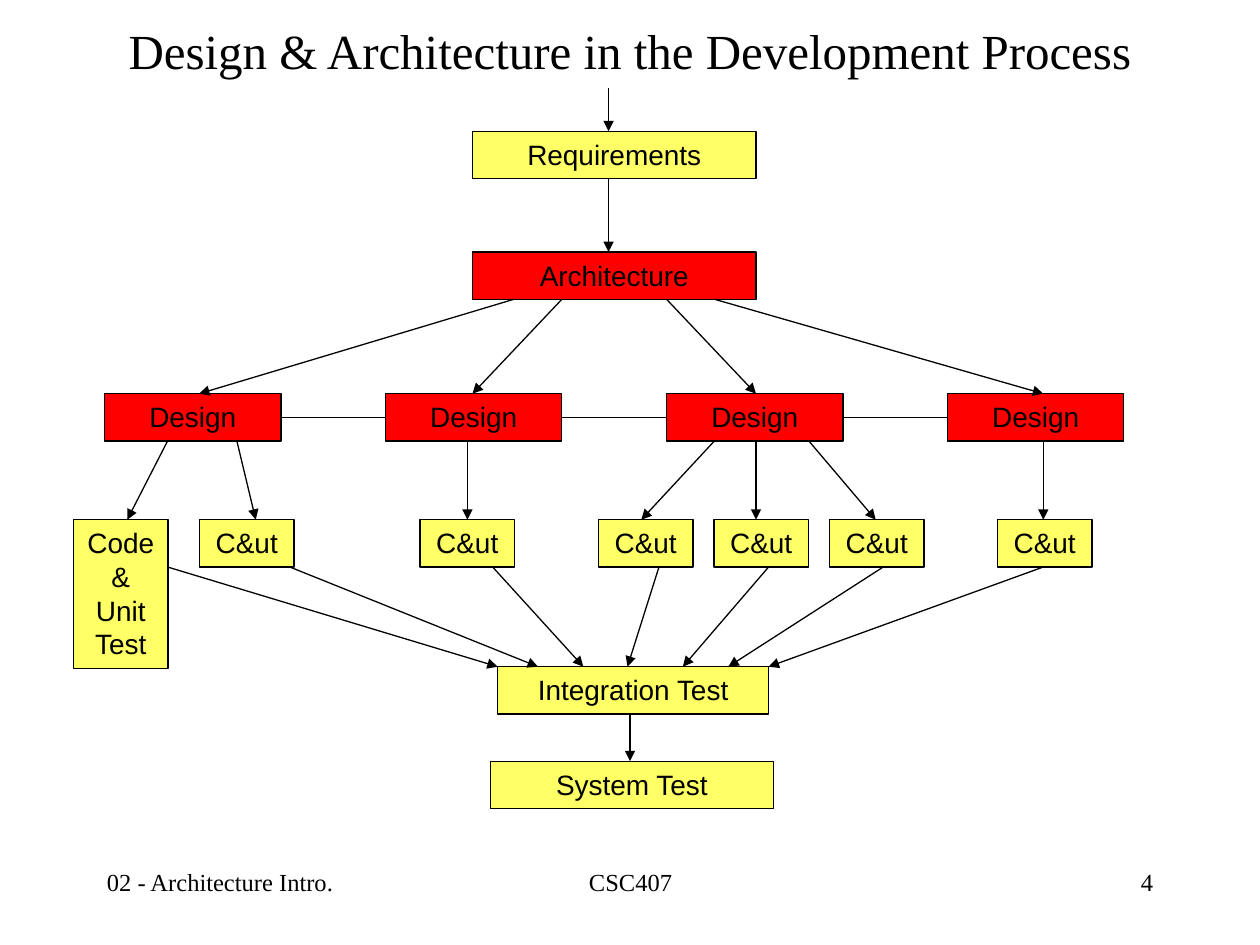
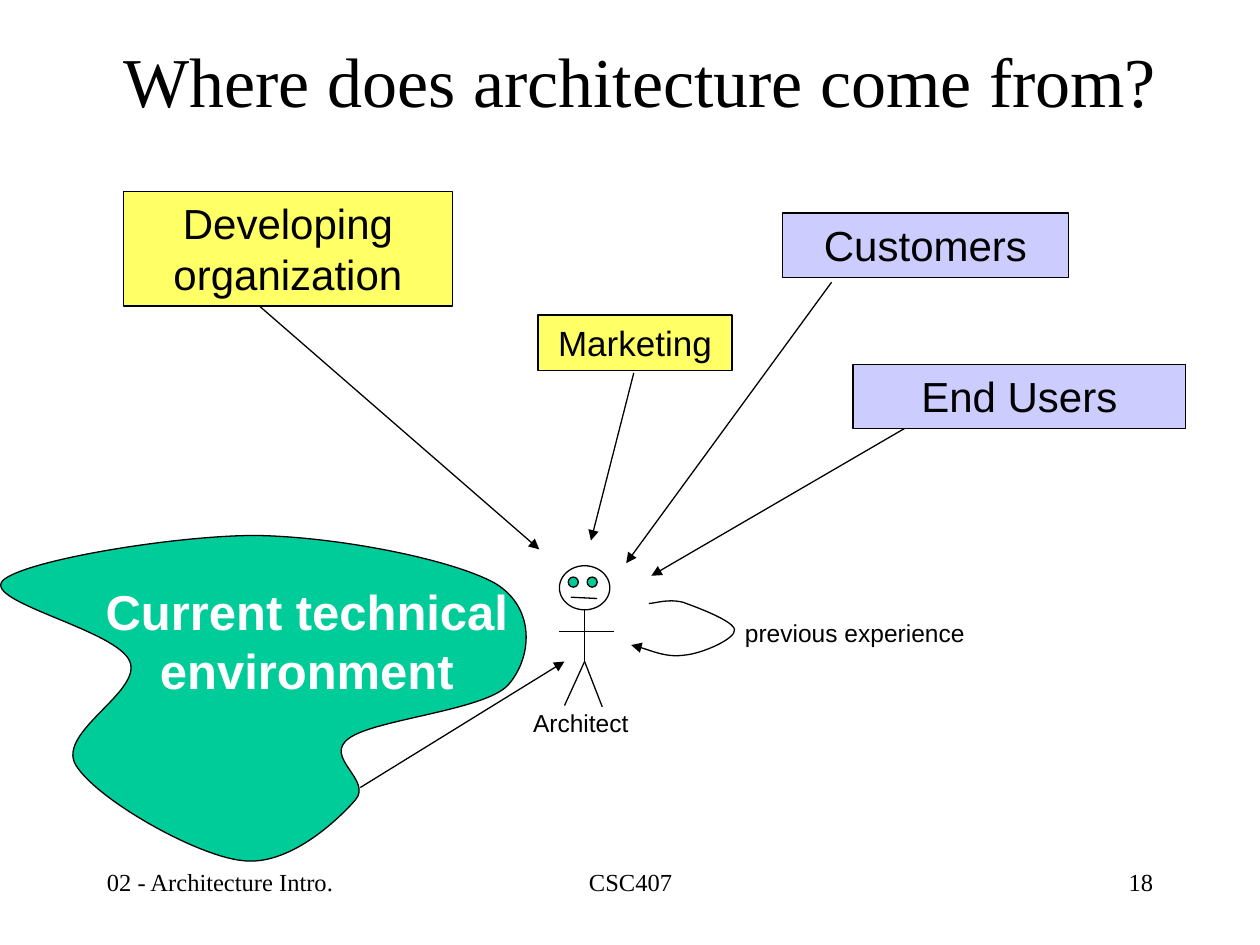
from pptx import Presentation
from pptx.dml.color import RGBColor
from pptx.enum.shapes import MSO_CONNECTOR, MSO_SHAPE
from pptx.enum.text import MSO_ANCHOR, PP_ALIGN
from pptx.oxml.ns import qn
from pptx.util import Inches, Pt
from lxml import etree

RECT, OVAL = MSO_SHAPE.RECTANGLE, MSO_SHAPE.OVAL
STRAIGHT = MSO_CONNECTOR.STRAIGHT
LEFT, MID, RIGHT = PP_ALIGN.LEFT, PP_ALIGN.CENTER, PP_ALIGN.RIGHT
TOP, CENTRE = MSO_ANCHOR.TOP, MSO_ANCHOR.MIDDLE

BLACK, WHITE = "000000", "FFFFFF"
YELLOW, RED, LILAC, GREEN = "FFFF66", "FF0000", "CCCCFF", "00CC99"
SERIF, SANS = "Times New Roman", "Arial"

# Slide 1: the development process, with rows and units on a grid
GRID = 1 / 24
BOX_H = 9 * GRID
ROWS = {"req": 25 * GRID, "arch": 48 * GRID, "design": 75 * GRID,
        "code": 99 * GRID, "integ": 127 * GRID, "system": 145 * GRID}
STAGES = [  # text, row, left, width, fill
    ("Requirements", "req", 3.75, 2.25, YELLOW),
    ("Architecture", "arch", 3.75, 2.25, RED),
    ("Integration Test", "integ", 3.95, 2.15, YELLOW),
    ("System Test", "system", 3.89, 2.25, YELLOW),
]
DESIGN_X, DESIGN_W, DESIGN_STEP, DESIGNS = 0.83, 1.4, 2.23, 4
CODE_X, UNIT_W, CODE_H = 14 * GRID, 18 * GRID, 1.18
UNIT_X = [n * GRID for n in (38, 80, 114, 136, 158, 190)]
FLOWS = [  # row above, row below, (x from, x to) of each arrow
    ("req", "arch", [(4.83, 4.83)]),
    ("arch", "design", [(4.08, 1.58), (4.46, 3.75), (5.29, 6), (5.67, 8.28)]),
    ("design", "code", [(1.33, 1.01), (1.88, 2.03), (3.71, 3.71), (5.67, 5.09),
                        (6, 6), (6.42, 6.95), (8.28, 8.28)]),
    ("code", "integ", [(1.33, 3.95), (2.3, 4.27), (3.91, 4.63), (5.23, 4.98),
                       (6.1, 5.42), (7.01, 5.78), (8.28, 6.1)]),
    ("integ", "system", [(5, 5)]),
]

# Slide 2: influences on the architect
SOURCES = [  # text, place, fill, size
    ("Developing organization", (0.98, 1.52, 2.61, 0.91), YELLOW, 24),
    ("Marketing", (4.27, 2.5, 1.54, 0.44), YELLOW, 20),
    ("End Users", (6.77, 2.89, 2.64, 0.51), LILAC, 24),
    ("Customers", (6.21, 1.69, 2.27, 0.51), LILAC, 24),
]
PULLS = [
    ((2.86, 6.25), (4.48, 5.25)),
    ((2.06, 2.43), (4.28, 4.36)),
    ((5.03, 2.96), (4.69, 4.29)),
    ((6.6, 2.24), (4.97, 4.47)),
    ((7.18, 3.4), (5.17, 4.57)),
]
HEAD = (4.44, 4.49, 0.4, 0.35)
EYES = [(4.51, 4.58, 0.08, 0.08), (4.66, 4.58, 0.08, 0.08)]
LIMBS = [
    ((4.53, 4.74), (4.74, 4.75)),
    ((4.64, 4.83), (4.64, 5.25)),
    ((4.44, 5.01), (4.87, 5.01)),
    ((4.64, 5.25), (4.48, 5.6)),
    ((4.64, 5.25), (4.78, 5.61)),
]
LABELS = [  # text, place, format
    ("Architect", (4.13, 5.57, 0.96, 0.33), dict(size=14)),
    ("previous experience", (5.8, 4.86, 1.97, 0.33), dict(size=14)),
    ("Current technical environment", (0.35, 4.57, 4.17, 1.04),
     dict(size=28, color=WHITE, bold=True)),
]
# Curves: a start point, then two controls and an end point per bend
BLOB = [(2.03, 4.25),
        (2.68, 4.26), (3.59, 4.44), (3.93, 4.63),
        (4.26, 4.83), (4.22, 5.23), (4.03, 5.44),
        (3.84, 5.64), (2.97, 5.71), (2.77, 5.86),
        (2.56, 6.01), (2.96, 6.19), (2.82, 6.35),
        (2.68, 6.51), (2.29, 6.88), (1.92, 6.83),
        (1.55, 6.79), (0.76, 6.34), (0.6, 6.07),
        (0.45, 5.81), (1.13, 5.49), (1.03, 5.25),
        (0.93, 5), (-0.13, 4.78), (0.02, 4.61),
        (0.18, 4.45), (1.38, 4.25), (2.03, 4.25)]
LOOP = [(5.15, 4.79),
        (5.2, 4.79), (5.3, 4.75), (5.42, 4.78),
        (5.53, 4.82), (5.83, 4.93), (5.83, 5),
        (5.84, 5.07), (5.57, 5.19), (5.43, 5.2),
        (5.29, 5.22), (5.08, 5.13), (5.01, 5.12)]

FOOTERS = [  # text (None for the slide number), left, width, alignment
    ("02 - Architecture Intro.", 0.75, 2.08, LEFT),
    ("CSC407", 3.42, 3.17, MID),
    (None, 7.17, 2.08, RIGHT),
]


def rgb(code):
    return RGBColor.from_string(code)


def inches(vals):
    return [Inches(v) for v in vals]


def write(shape, text, size=16, font=SANS, color=BLACK, bold=False,
          align=MID, anchor=TOP):
    frame = shape.text_frame
    frame.word_wrap = True
    frame.vertical_anchor = anchor
    para = frame.paragraphs[0]
    para.text = text
    para.alignment = align
    for run in para.runs:
        run.font.size = Pt(size)
        run.font.name = font
        run.font.bold = bold
        run.font.color.rgb = rgb(color)


def label(slide, text, place, **form):
    write(slide.shapes.add_textbox(*inches(place)), text, **form)


def ink(shape, arrow=False):
    """Give a thin black outline, with an arrowhead at its end if asked."""
    shape.line.color.rgb = rgb(BLACK)
    shape.line.width = Pt(0.75)
    if arrow:
        line = shape.line._get_or_add_ln()
        etree.SubElement(line, qn("a:tailEnd"), type="triangle")


def paint(shape, fill, arrow=False):
    shape.shadow.inherit = False
    if fill:
        shape.fill.solid()
        shape.fill.fore_color.rgb = rgb(fill)
    else:
        shape.fill.background()
    ink(shape, arrow)


def block(slide, place, fill=None, kind=RECT):
    shape = slide.shapes.add_shape(kind, *inches(place))
    paint(shape, fill)
    return shape


def link(slide, start, end, arrow=True):
    line = slide.shapes.add_connector(STRAIGHT, *inches(start + end))
    ink(line, arrow)
    etree.SubElement(line._element.spPr, qn("a:effectLst"))


def curve(slide, points, fill=None, close=False, arrow=False):
    """Draw an outline, then merge each three segments into one bend."""
    pen = slide.shapes.build_freeform(*inches(points[0]))
    pen.add_line_segments([inches(p) for p in points[1:]], close=close)
    shape = pen.convert_to_shape()
    legs = list(shape._element.iter(qn("a:lnTo")))
    for i in range(0, len(legs), 3):
        bend = etree.Element(qn("a:cubicBezTo"))
        legs[i].addprevious(bend)
        for leg in legs[i:i + 3]:
            bend.append(leg[0])
            leg.getparent().remove(leg)
    paint(shape, fill, arrow)


def start(deck, number):
    """Add a slide with its footers."""
    slide = deck.slides.add_slide(deck.slide_layouts[6])
    for text, x, width, align in FOOTERS:
        label(slide, text or str(number), (x, 6.83, width, 0.5), size=14,
              font=SERIF, align=align)
    return slide


def title(slide, text, place, size):
    label(slide, text, place, size=size, font=SERIF, anchor=CENTRE)


def process(deck):
    slide = start(deck, 4)
    lefts = [DESIGN_X + i * DESIGN_STEP for i in range(DESIGNS)]
    boxes = STAGES + [("C&ut", "code", x, UNIT_W, YELLOW) for x in UNIT_X]
    boxes += [("Design", "design", x, DESIGN_W, RED) for x in lefts]
    for text, row, x, width, fill in boxes:
        write(block(slide, (x, ROWS[row], width, BOX_H), fill), text)
    write(block(slide, (CODE_X, ROWS["code"], UNIT_W, CODE_H), YELLOW),
          "Code &\nUnit Test")

    link(slide, (4.83, 0.7), (4.83, ROWS["req"]))
    for above, below, pairs in FLOWS:
        for x1, x2 in pairs:
            link(slide, (x1, ROWS[above] + BOX_H), (x2, ROWS[below]))
    mid = ROWS["design"] + BOX_H / 2
    for x, after in zip(lefts, lefts[1:]):
        link(slide, (x + DESIGN_W, mid), (after, mid), arrow=False)
    title(slide, "Design & Architecture in the Development Process",
          (0.75, 0.08, 8.5, 0.63), 28)


def origins(deck):
    slide = start(deck, 18)
    for text, place, fill, size in SOURCES:
        write(block(slide, place, fill), text, size=size)
    block(slide, HEAD, kind=OVAL)
    for eye in EYES:
        block(slide, eye, GREEN, OVAL)
    for a, b in LIMBS:
        link(slide, a, b, arrow=False)
    curve(slide, BLOB, GREEN, close=True)
    curve(slide, LOOP, arrow=True)
    for text, place, form in LABELS:
        label(slide, text, place, **form)
    for a, b in PULLS:
        link(slide, a, b)
    title(slide, "Where does architecture come from?",
          (0.84, 0, 8.48, 1.27), 40)


def main():
    deck = Presentation()
    deck.slide_width, deck.slide_height = Inches(10), Inches(7.5)
    process(deck)
    origins(deck)
    deck.save("out.pptx")


if __name__ == "__main__":
    main()
